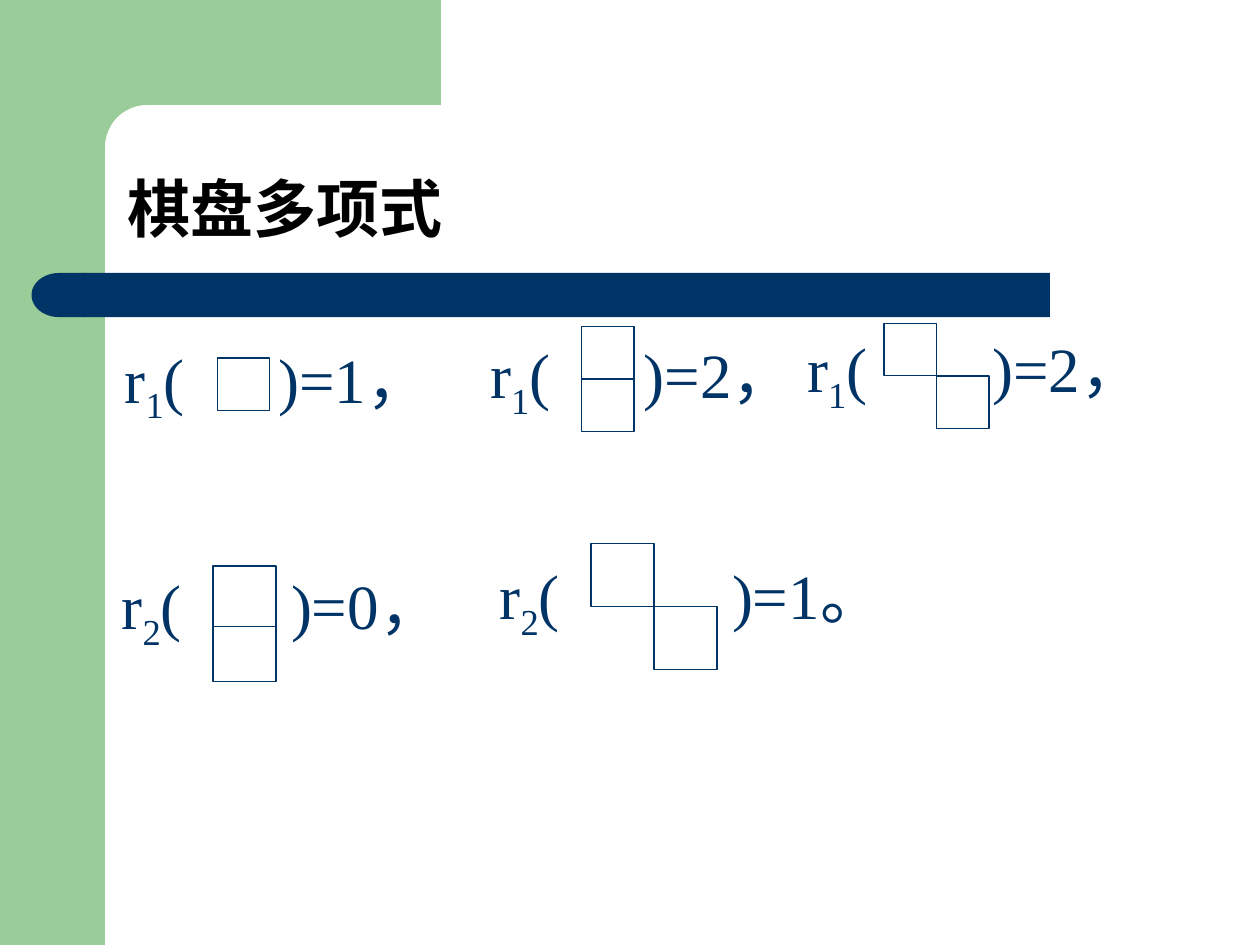
"""Build the rook polynomial slide."""
import math
from dataclasses import dataclass

from lxml import etree
from pptx import Presentation, util as u
from pptx.dml.color import RGBColor
from pptx.enum import shapes, text
from pptx.oxml.ns import qn


@dataclass(frozen=True)
class Theme:
    """Colours, fonts, type sizes and line width of the slide."""
    green: str = "99CC99"
    navy: str = "003366"
    black: str = "000000"
    title_font: str = "Arial"
    body_font: str = "Times New Roman"
    size: int = 36
    line: float = 0.75


THEME = Theme()
COLS, ROWS = 120, 90
CELL = u.Inches(10) / COLS


def g(*cells):
    """Turn grid cells into slide lengths."""
    return [round(c * CELL) for c in cells]


def write(tf, runs, font, color, bold=False, spacing=None, tab=None):
    """Write (text, baseline) runs as one formatted paragraph."""
    p = tf.paragraphs[0]
    p.alignment = text.PP_ALIGN.LEFT
    p.line_spacing = spacing
    if tab:
        tabs = etree.SubElement(p._p.get_or_add_pPr(), qn("a:tabLst"))
        etree.SubElement(tabs, qn("a:tab"), pos=str(g(tab)[0]), algn="l")
    for words, baseline in runs:
        r = p.add_run()
        r.text = words
        r.font.name, r.font.size, r.font.bold = font, u.Pt(THEME.size), bold
        r.font.color.rgb = RGBColor.from_string(color)
        if baseline:
            r.font._element.set("baseline", str(baseline * 1000))


def paint(sp, color):
    """Give a shape a plain fill without line or shadow."""
    sp.shadow.inherit = False
    sp.fill.solid()
    sp.fill.fore_color.rgb = RGBColor.from_string(color)
    sp.line.fill.background()
    return sp


def outline(sp):
    """Give a shape or connector the thin navy line."""
    sp.line.color.rgb = RGBColor.from_string(THEME.navy)
    sp.line.width = u.Pt(THEME.line)


def add_block(slide, kind, at, color):
    """Add a filled decorative shape."""
    return paint(slide.shapes.add_shape(kind, *g(*at)), color)


def add_corner(slide, left, inner, right, top, bottom, radius):
    """Add the green header with its rounded inner corner."""
    arc = [(inner + radius * (1 - math.sin(a)), top + radius * (1 - math.cos(a)))
           for a in (math.pi / 2 * i / 12 for i in range(13))]
    points = [(right, 0), (right, top), *arc, (inner, bottom), (left, bottom)]
    builder = slide.shapes.build_freeform(*g(left, 0))
    builder.add_line_segments([g(*pt) for pt in points], close=True)
    paint(builder.convert_to_shape(), THEME.green)


def add_formula(slide, left, top, width, index, value, spaces):
    """Add r_index( )=value with a gap for a board, counted in space widths."""
    box = slide.shapes.add_textbox(*g(left, top, width, 9.5))
    box.text_frame.word_wrap = True
    runs = [("r", 0), (index, -25), (f"(\t)={value}", 0)]
    write(box.text_frame, runs, THEME.body_font, THEME.navy, tab=5.64 + 1.5 * spaces)


def add_square(slide, left, top, width, height):
    """Add an unfilled board square."""
    sp = slide.shapes.add_shape(shapes.MSO_SHAPE.RECTANGLE, *g(left, top, width, height))
    sp.shadow.inherit = False
    sp.fill.background()
    outline(sp)
    return sp


def add_column(slide, left, top, width, height, split):
    """Add a board of two stacked squares divided at split."""
    sp = add_square(slide, left, top, width, height)
    line = slide.shapes.add_connector(
        shapes.MSO_CONNECTOR.STRAIGHT,
        *g(left, top + split, left + width, top + split))
    if split == height / 2:
        line.begin_connect(sp, 1)
        line.end_connect(sp, 3)
    outline(line)
    etree.SubElement(line._element.spPr, qn("a:effectLst"))


def add_diagonal(slide, left, top, side):
    """Add a board of two squares that meet at a corner."""
    for step in (side, 0):
        add_square(slide, left + step, top + step, side, side)


def add_title(slide, words):
    """Place and format the title."""
    sp = slide.shapes.title
    sp.left, sp.top, sp.width, sp.height = g(10.9, 10.9, 102.1, 13.1)
    sp.text_frame.vertical_anchor = text.MSO_ANCHOR.BOTTOM
    write(sp.text_frame, [(words, 0)], THEME.title_font, THEME.black,
          bold=True, spacing=0.9)


def main():
    """Build and save the slide."""
    prs = Presentation()
    prs.slide_width, prs.slide_height = g(COLS, ROWS)
    slide = prs.slides.add_slide(prs.slide_layouts[5])
    kind = shapes.MSO_SHAPE

    add_block(slide, kind.RECTANGLE, (0, 0, 10, ROWS), THEME.green)
    add_corner(slide, left=6, inner=10, right=42, top=10, bottom=15.4, radius=4)
    bar = add_block(slide, kind.ROUNDED_RECTANGLE, (8, 26, 92, 4.2), THEME.navy)
    bar.adjustments[0] = 0
    cap = add_block(slide, kind.FLOWCHART_DELAY, (3, 26, 5.2, 4.2), THEME.navy)
    cap.rotation = 180
    add_title(slide, "棋盘多项式")

    add_formula(slide, 10.7, 31.8, 32.9, "1", "1，", spaces=6)
    add_square(slide, 20.7, 34.1, 5, 5)
    add_formula(slide, 45.5, 31.4, 32.9, "1", "2，", spaces=6)
    add_column(slide, 55.4, 31.1, 5, 10, split=5)
    add_formula(slide, 75.7, 30.8, 35.9, "1", "2，", spaces=8)
    add_diagonal(slide, 84.2, 30.8, 5)
    add_formula(slide, 10.4, 53.4, 34.4, "2", "0，", spaces=7)
    add_column(slide, 20.3, 53.9, 6, 11, split=5.75)
    add_formula(slide, 46.4, 52.4, 40.4, "2", "1。", spaces=11)
    add_diagonal(slide, 56.3, 51.8, 6)
    prs.save("out.pptx")


if __name__ == "__main__":
    main()
